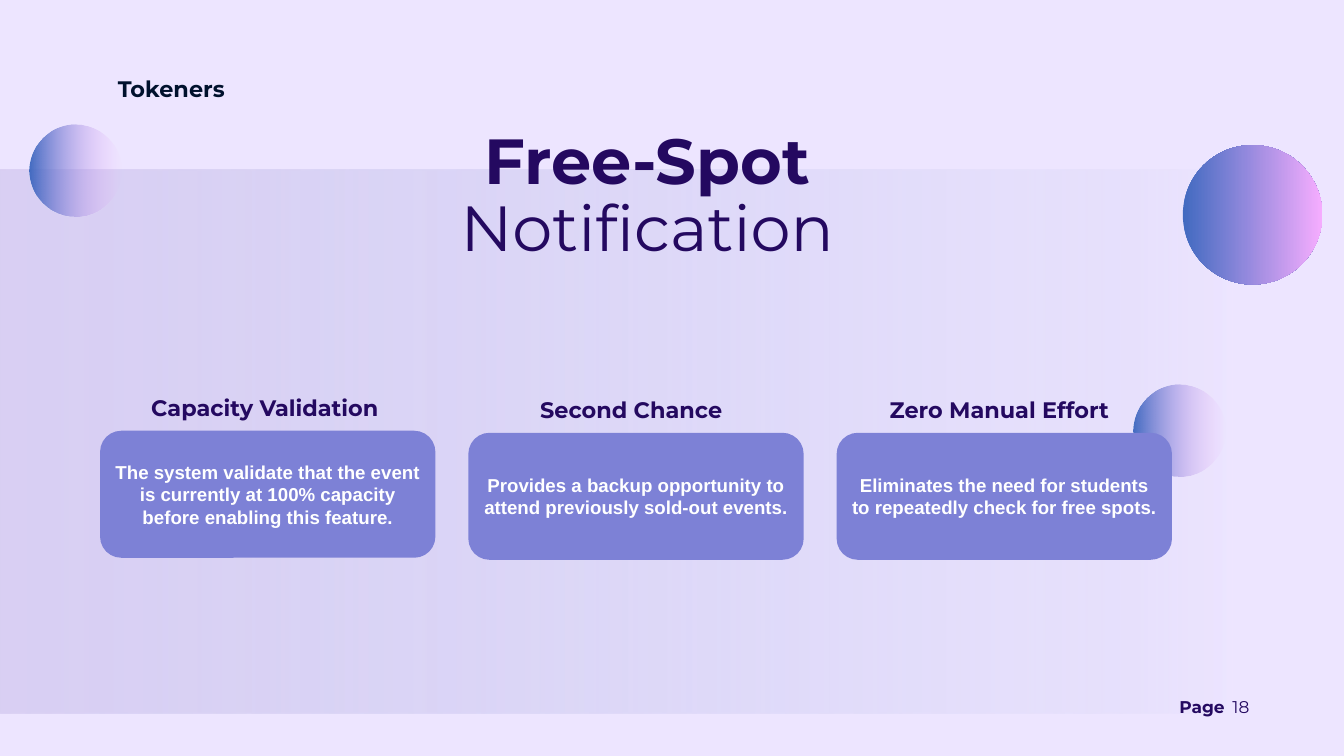
from pptx import Presentation
from pptx.dml.color import RGBColor
from pptx.enum.shapes import MSO_SHAPE
from pptx.enum.text import MSO_ANCHOR, MSO_AUTO_SIZE, PP_ALIGN
from pptx.oxml import parse_xml
from pptx.oxml.ns import nsdecls
from pptx.util import Pt

RECT, OVAL, ROUND = MSO_SHAPE.RECTANGLE, MSO_SHAPE.OVAL, MSO_SHAPE.ROUNDED_RECTANGLE
LEFT, CENTER = PP_ALIGN.LEFT, PP_ALIGN.CENTER
MIDDLE, GROW = MSO_ANCHOR.MIDDLE, MSO_AUTO_SIZE.SHAPE_TO_FIT_TEXT

LAVENDER, PURPLE, NAVY, CARD, WHITE = "EDE5FF", "240960", "00112D", "7D81D6", "FFFFFF"

# Gradient stops: position %, colour, opacity %
PANEL = [(0, "D9CFF3", 100), (83, "C7C9F0", 18), (100, LAVENDER, 39)]
FADING = [(0, "3C67BF", 96), (100, "F7ACFF", 0)]
SOLID = [(0, "3C67BF", 96), (100, "F7ACFF", 96)]

# Left, top, diameter, stops
CIRCLES = [
    (31.5, 133.2, 99, FADING),
    (1214.3, 411.9, 99, FADING),
    (1267.3, 155.4, 149.4, SOLID),
]

# Text, box, size, colour, bold, alignment, line spacing
LABELS = [
    ("Tokeners", (109.4, 43.9, 148.3, 47.5), 24, NAVY, True, CENTER, 2.28),
    ("Free-Spot", (405.4, 145.4, 576, 60.5), 68.3, PURPLE, True, CENTER, 0.8),
    ("Notification", (448.6, 217.4, 489.6, 66.2), 68.3, PURPLE, False, CENTER, 0.8),
    ("Page", (1263.6, 745.9, 56.9, 22.3), 18.2, PURPLE, True, LEFT, 1.02),
    ("18", (1320.5, 745.9, 28.1, 22.3), 18.2, PURPLE, False, LEFT, 1.02),
]

# Heading, heading left, heading width, card top, body
CARDS = [
    ("Capacity Validation", 154.8, 262, 461.5,
     "The system validate that the event is currently at 100% capacity before enabling this feature."),
    ("Second Chance", 571.7, 220.3, 463.7,
     "Provides a backup opportunity to attend previously sold-out events."),
    ("Zero Manual Effort", 946.1, 267.8, 463.7,
     "Eliminates the need for students to repeatedly check for free spots."),
]
CARD_LEFT, CARD_STEP, CARD_W, CARD_H = 107.2, 394.6, 359.3, 136.1
HEADING_RISE, HEADING_H = 42.7, 36.3


def rgb(value):
    return RGBColor.from_string(value)


def add_shape(kind, box):
    sp = s.shapes.add_shape(kind, *map(Pt, box))
    sp.shadow.inherit = False
    sp.line.fill.background()
    return sp


def add_gradient(kind, box, stops):
    sp = add_shape(kind, box)
    gs = "".join(
        f'<a:gs pos="{pos * 1000}"><a:srgbClr val="{color}">'
        f'<a:alpha val="{alpha * 1000}"/></a:srgbClr></a:gs>'
        for pos, color, alpha in stops)
    sp._element.spPr.prstGeom.addnext(parse_xml(
        f'<a:gradFill {nsdecls("a")} rotWithShape="1"><a:gsLst>{gs}</a:gsLst>'
        '<a:lin ang="0" scaled="0"/></a:gradFill>'))


def write(sp, text, size, color, bold, align, font="Montserrat", spacing=None):
    tf = sp.text_frame
    tf.word_wrap = True
    tf.text = text
    p = tf.paragraphs[0]
    p.alignment = align
    if spacing:
        p.line_spacing = spacing
    r = p.runs[0]
    r.font.name, r.font.size, r.font.bold = font, Pt(size), bold
    r.font.color.rgb = rgb(color)
    return tf


def add_text(box, *style, inset=True, **options):
    tf = write(s.shapes.add_textbox(*map(Pt, box)), *style, **options)
    tf.auto_size = GROW
    if not inset:
        tf.margin_left = tf.margin_top = tf.margin_right = tf.margin_bottom = 0


prs = Presentation()
prs.slide_width, prs.slide_height = Pt(1440), Pt(810)
s = prs.slides.add_slide(prs.slide_layouts[6])
s.background.fill.solid()
s.background.fill.fore_color.rgb = rgb(LAVENDER)

# Backdrop panel and circles
add_gradient(RECT, (0, 181.4, 1320.5, 583.2), PANEL)
for left, top, size, stops in CIRCLES:
    add_gradient(OVAL, (left, top, size, size), stops)

# Team name, title and page number
for text, box, size, color, bold, align, spacing in LABELS:
    add_text(box, text, size, color, bold, align, inset=False, spacing=spacing)

# Cards with their headings
for i, (heading, left, width, top, body) in enumerate(CARDS):
    sp = add_shape(ROUND, (CARD_LEFT + i * CARD_STEP, top, CARD_W, CARD_H))
    sp.fill.solid()
    sp.fill.fore_color.rgb = rgb(CARD)
    tf = write(sp, body, 20, WHITE, True, CENTER, font="Arial")
    tf.vertical_anchor = MIDDLE
    add_text((left, top - HEADING_RISE, width, HEADING_H), heading, 24, PURPLE, True, LEFT)

prs.save("out.pptx")
